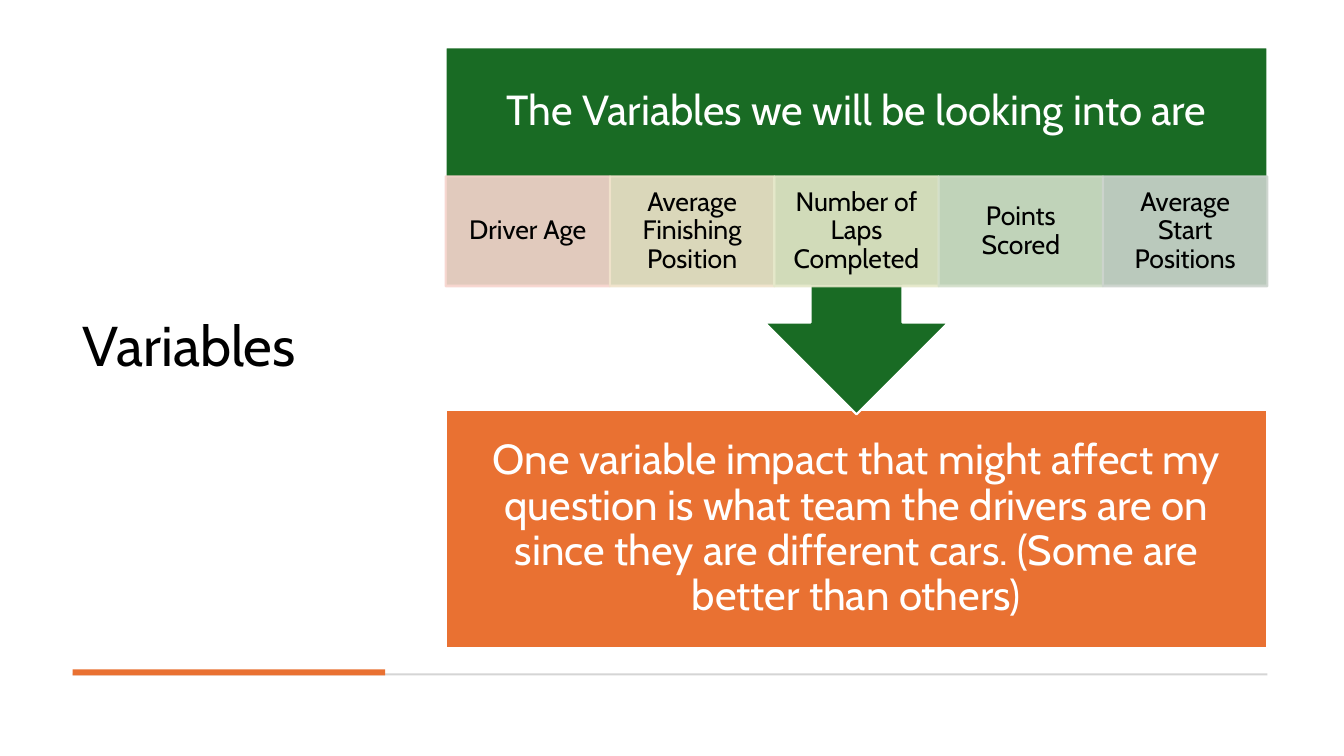
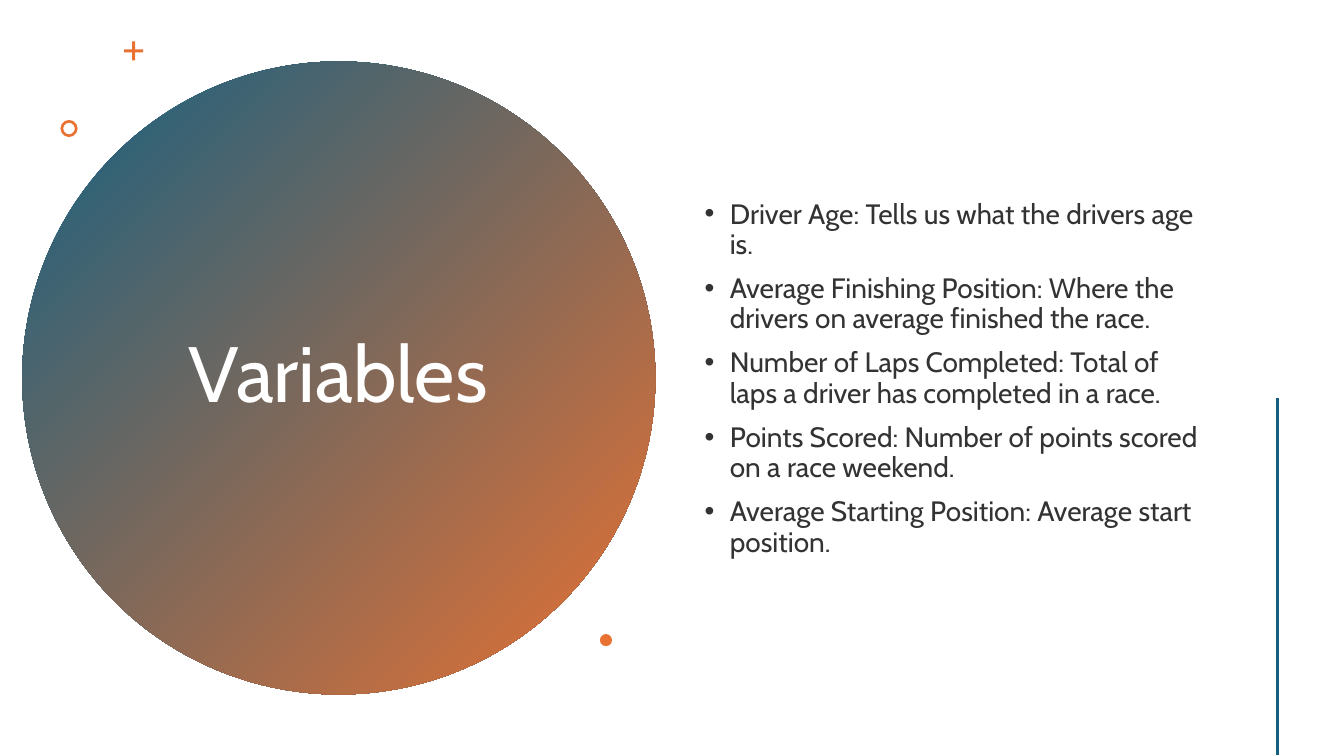
from lxml.etree import SubElement as Sub
from pptx import Presentation
from pptx.dml.color import RGBColor as RGB
from pptx.enum.shapes import MSO_CONNECTOR as Conn, MSO_SHAPE as Kind
from pptx.enum.text import MSO_ANCHOR as Anchor, MSO_AUTO_SIZE as Auto, PP_ALIGN as Align
from pptx.oxml.ns import qn
from pptx.util import Pt

PX = 9144  # 100 px to the inch
FONT = "Cabin"
BLACK = RGB(0x00, 0x00, 0x00)
WHITE = RGB(0xFF, 0xFF, 0xFF)
DARK = RGB(0x33, 0x33, 0x33)
GREY = RGB(0xD5, 0xD5, 0xD5)
ORANGE = RGB(0xE9, 0x71, 0x32)
GREEN = RGB(0x19, 0x6B, 0x24)
TEAL = RGB(0x15, 0x60, 0x82)
PINK = RGB(0xF7, 0xD5, 0xCE)
SAND = RGB(0xF0, 0xE3, 0xCB)
LIME = RGB(0xE5, 0xE8, 0xCA)
SAGE = RGB(0xD3, 0xDF, 0xCA)
MIST = RGB(0xCC, 0xD4, 0xCD)


def draw(slide, kind, box, fill, edge=None):
    """Add a flat shape, with an outline if an edge colour is given."""
    shape = slide.shapes.add_shape(kind, *[n * PX for n in box])
    shape.shadow.inherit = False
    shape.fill.solid()
    shape.fill.fore_color.rgb = fill
    if edge is None:
        shape.line.fill.background()
    else:
        shape.line.color.rgb = edge
        shape.line.width = Pt(1.5)
    return shape


def write(shape, lines, size, color, align=Align.CENTER, pad=(10, 5, 10, 5)):
    """Set the text of a shape, one paragraph a line."""
    frame = shape.text_frame
    frame.word_wrap = True
    frame.auto_size = Auto.NONE
    frame.vertical_anchor = Anchor.MIDDLE
    frame.margin_left, frame.margin_top, frame.margin_right, frame.margin_bottom = [
        n * PX for n in pad]
    for i, line in enumerate(lines):
        para = frame.add_paragraph() if i else frame.paragraphs[0]
        para.alignment = align
        para.line_spacing = 0.9
        run = para.add_run()
        run.text = line
        run.font.name = FONT
        run.font.size = Pt(size)
        run.font.color.rgb = color
    return frame.paragraphs


deck = Presentation()
deck.slide_width, deck.slide_height = 1333 * PX, 750 * PX

# Both slides and their titles
slides = []
for box, size, color, align in [
    ((72, 47, 310, 597), 40, BLACK, Align.LEFT),
    ((136, 141, 399, 467), 56, WHITE, Align.CENTER),
]:
    slide = deck.slides.add_slide(deck.slide_layouts[5])
    title = slide.shapes.title
    title.left, title.top, title.width, title.height = [n * PX for n in box]
    write(title, ["Variables"], size, color, align)
    slides.append(slide)
first, second = slides

# Slide 1: rule with accent bar
draw(first, Kind.RECTANGLE, (72, 668, 1185, 2), GREY)
draw(first, Kind.RECTANGLE, (72, 664, 310, 6), ORANGE)

# Slide 1: impact box and the callout that points to it
impact = draw(first, Kind.RECTANGLE, (442, 407, 815, 236), ORANGE, WHITE)
write(impact, ["One variable impact that might affect my question is what team the drivers "
               "are on since they are different cars. (Some are better than others)"],
      30, WHITE, pad=(23, 23, 23, 23))
callout = draw(first, Kind.DOWN_ARROW_CALLOUT, (442, 47, 815, 364), GREEN, WHITE)
write(callout, ["The Variables we will be looking into are"], 30, WHITE,
      pad=(23, 23, 23, 132))

# Slide 1: row of variables, each slightly see-through
cells = [
    ("Driver Age", PINK),
    ("Average Finishing Position", SAND),
    ("Number of Laps Completed", LIME),
    ("Points Scored", SAGE),
    ("Average Start Positions", MIST),
]
for i, (name, tint) in enumerate(cells):
    cell = draw(first, Kind.RECTANGLE, (442 + 163 * i, 175, 163, 109), tint, tint)
    for clr in cell.element.spPr.iter(qn("a:srgbClr")):
        Sub(clr, qn("a:alpha"), val="90000")
    write(cell, [name], 19, BLACK, pad=(15, 3, 15, 3))

# Slide 2: gradient disc behind the title
disc = draw(second, Kind.OVAL, (22, 61, 628, 628), TEAL)
disc.fill.gradient()
disc.fill.gradient_angle = 315
for stop, color in zip(disc.fill.gradient_stops, (TEAL, ORANGE)):
    stop.color.rgb = color
second.shapes.title.element.addprevious(disc.element)

# Slide 2: small ornaments
plus = draw(second, Kind.CROSS, (123, 41, 19, 19), ORANGE)
plus.adjustments[0] = 0.42
ring = draw(second, Kind.DONUT, (60, 119, 17, 17), ORANGE)
ring.adjustments[0] = 0.16
draw(second, Kind.OVAL, (595, 629, 12, 12), ORANGE)

# Slide 2: bulleted definitions
body = second.shapes.add_textbox(*[n * PX for n in (689, 57, 522, 638)])
notes = [
    "Driver Age: Tells us what the drivers age is.",
    "Average Finishing Position: Where the drivers on average finished the race.",
    "Number of Laps Completed: Total of laps a driver has completed in a race.",
    "Points Scored: Number of points scored on a race weekend.",
    "Average Starting Position: Average start position.",
]
for para in write(body, notes, 20, DARK, Align.LEFT):
    para.space_before = Pt(10)
    props = para._p.get_or_add_pPr()
    props.set("marL", str(25 * PX))
    props.set("indent", str(-25 * PX))
    Sub(props, qn("a:buFont"), typeface="Arial")
    Sub(props, qn("a:buChar"), char="•")

# Slide 2: vertical line at the right
line = second.shapes.add_connector(Conn.STRAIGHT, *[n * PX for n in (1267, 395, 1267, 749)])
line.line.color.rgb = TEAL
line.line.width = Pt(2)
Sub(line.element.spPr, qn("a:effectLst"))

deck.save("out.pptx")
